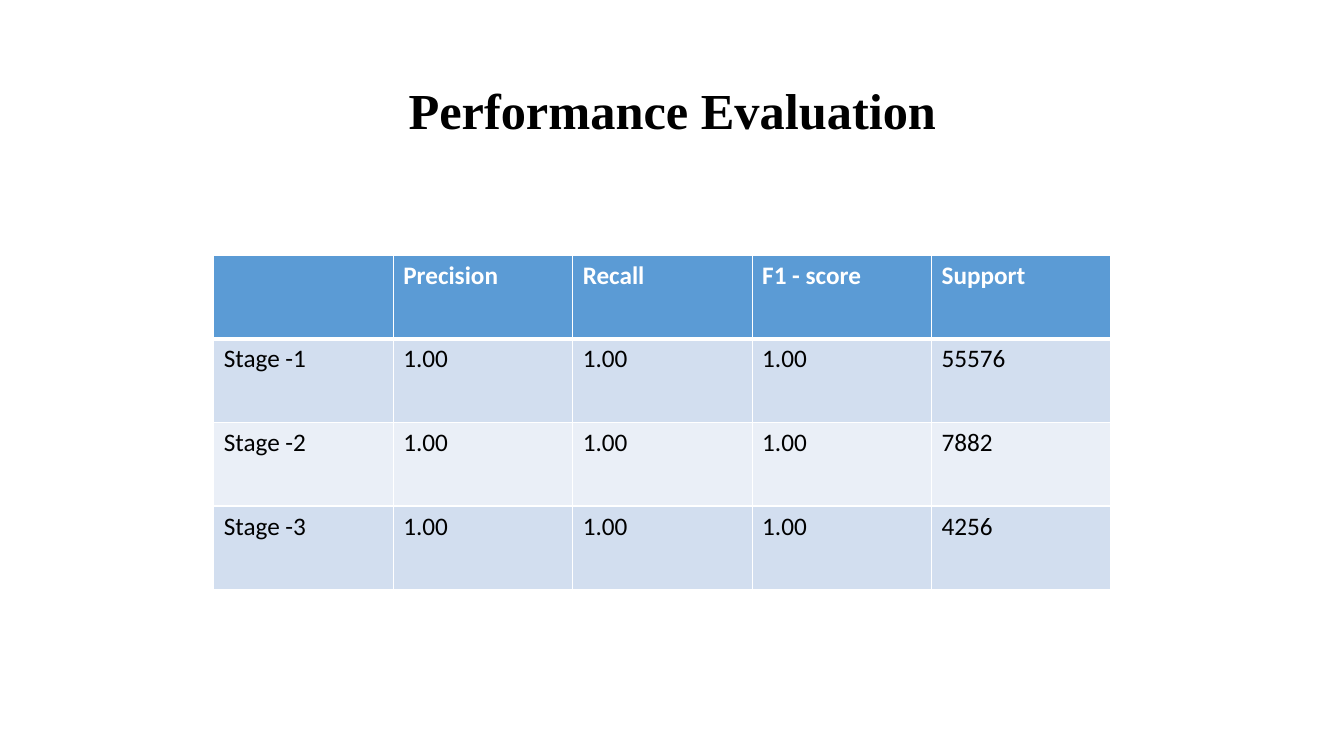
from lxml import etree
from pptx import Presentation
from pptx.dml.color import RGBColor
from pptx.enum.text import MSO_ANCHOR, PP_ALIGN
from pptx.oxml.ns import qn
from pptx.util import Inches, Pt

TITLE = "Performance Evaluation"
ROWS = [
    ("", "Precision", "Recall", "F1 - score", "Support"),
    ("Stage -1", "1.00", "1.00", "1.00", "55576"),
    ("Stage -2", "1.00", "1.00", "1.00", "7882"),
    ("Stage -3", "1.00", "1.00", "1.00", "4256"),
]

BLACK = RGBColor(0x00, 0x00, 0x00)
WHITE = RGBColor(0xFF, 0xFF, 0xFF)
HEADER_BLUE = RGBColor(0x5B, 0x9B, 0xD5)
BANDS = (RGBColor(0xEA, 0xEF, 0xF7), RGBColor(0xD2, 0xDE, 0xEF))
CENTER = PP_ALIGN.CENTER
MIDDLE = MSO_ANCHOR.MIDDLE

COLUMN_WIDTH, ROW_HEIGHT = 1.78, 0.83
THIN, THICK = Pt(1), Pt(3)


def set_font(paragraph, name, size, color, bold):
    font = paragraph.font
    font.name, font.size, font.bold = name, Pt(size), bold
    font.color.rgb = color


def add_borders(cell, top, bottom):
    """Draw white cell borders; call before filling, as the schema orders them so."""
    properties = cell._tc.get_or_add_tcPr()
    for side, width in (("L", THIN), ("R", THIN), ("T", top), ("B", bottom)):
        line = etree.SubElement(properties, qn(f"a:ln{side}"), w=str(width))
        fill = etree.SubElement(line, qn("a:solidFill"))
        etree.SubElement(fill, qn("a:srgbClr"), val=str(WHITE))


def add_title(slide):
    title = slide.shapes.title
    title.left, title.top = Inches(0.92), Inches(0.4)
    title.width, title.height = Inches(11.5), Inches(1.45)
    title.text_frame.vertical_anchor = MIDDLE
    title.text_frame.text = TITLE
    paragraph = title.text_frame.paragraphs[0]
    paragraph.alignment = CENTER
    paragraph.line_spacing = 0.9
    set_font(paragraph, "Times New Roman", 36, BLACK, True)


def add_scores(slide):
    row_count, column_count = len(ROWS), len(ROWS[0])
    table = slide.shapes.add_table(
        row_count, column_count, Inches(2.12), Inches(2.53),
        Inches(COLUMN_WIDTH * column_count), Inches(ROW_HEIGHT * row_count),
    ).table
    for row, values in enumerate(ROWS):
        is_header = row == 0
        for column, value in enumerate(values):
            cell = table.cell(row, column)
            add_borders(cell, THICK if row == 1 else THIN, THICK if is_header else THIN)
            cell.fill.solid()
            cell.fill.fore_color.rgb = HEADER_BLUE if is_header else BANDS[row % 2]
            cell.text = value
            set_font(cell.text_frame.paragraphs[0], "Calibri", 18,
                     WHITE if is_header else BLACK, is_header)


def main():
    deck = Presentation()
    deck.slide_width, deck.slide_height = Inches(13.33), Inches(7.5)
    slide = deck.slides.add_slide(deck.slide_layouts.get_by_name("Title Only"))
    add_title(slide)
    add_scores(slide)
    deck.save("out.pptx")


if __name__ == "__main__":
    main()
